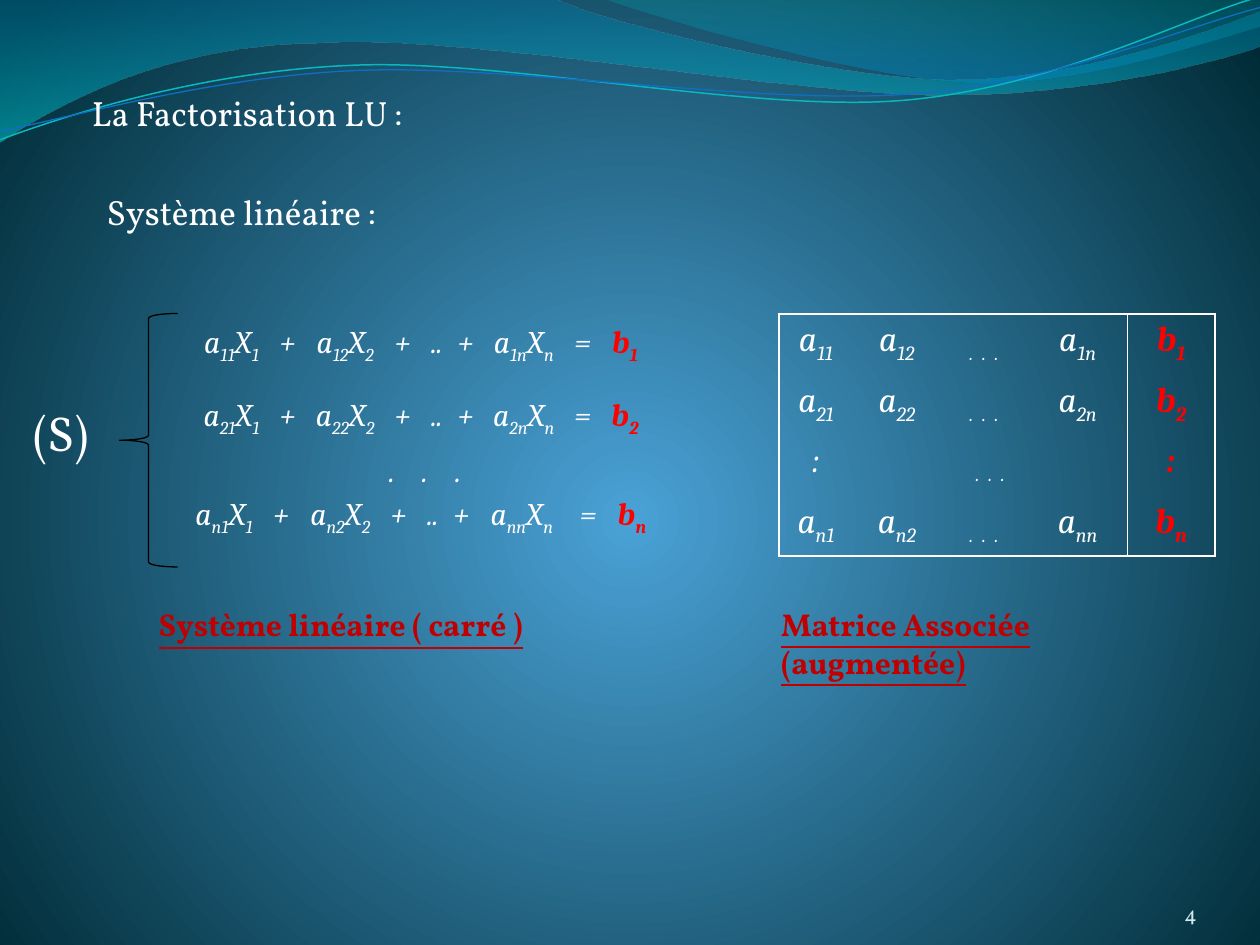
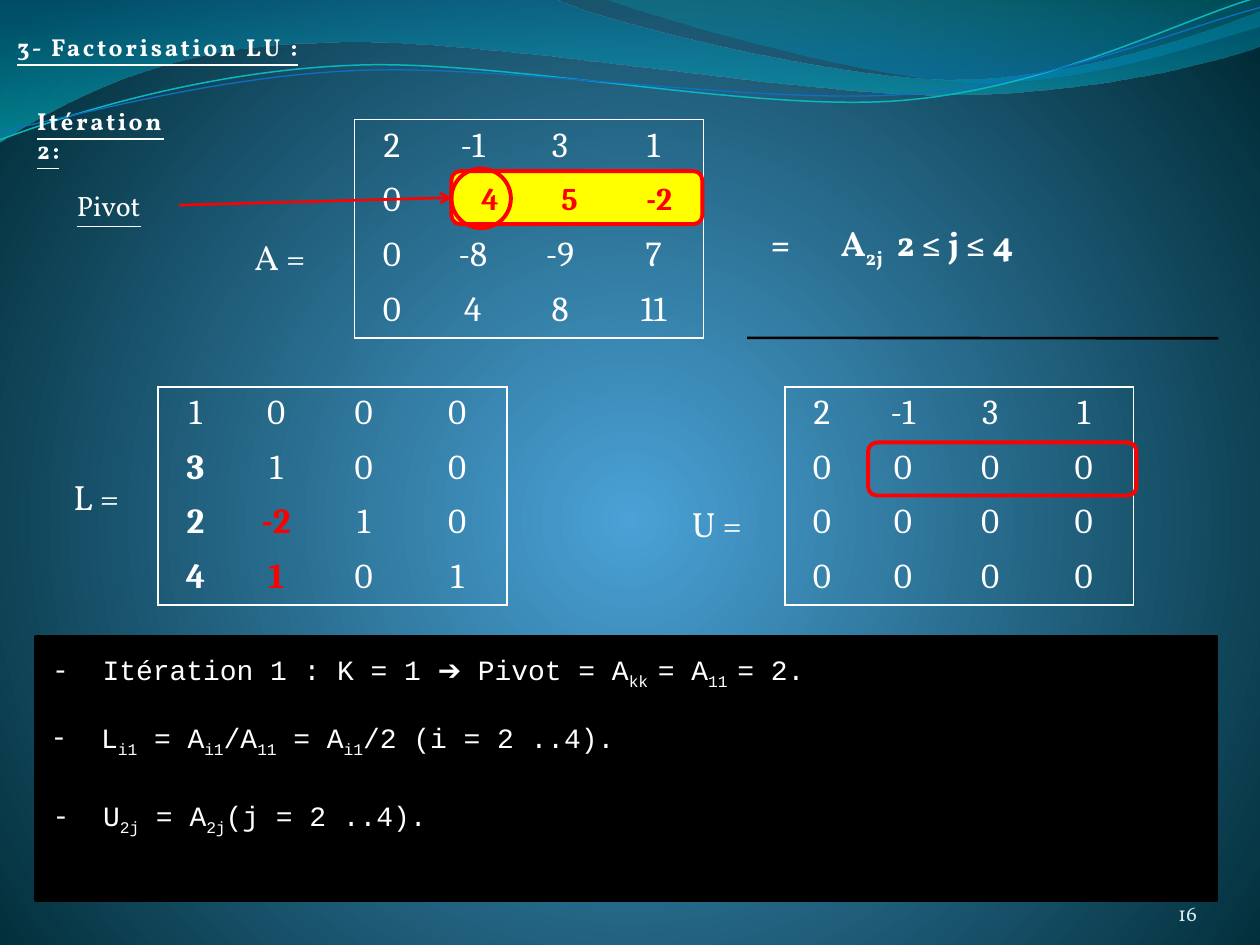
from lxml import etree
from pptx import Presentation
from pptx.dml.color import RGBColor
from pptx.enum.shapes import MSO_CONNECTOR, MSO_SHAPE
from pptx.enum.text import MSO_ANCHOR, MSO_AUTO_SIZE, PP_ALIGN
from pptx.oxml import parse_xml
from pptx.oxml.ns import nsdecls, qn
from pptx.util import Cm, Pt

LEFT, CENTER, RIGHT = PP_ALIGN.LEFT, PP_ALIGN.CENTER, PP_ALIGN.RIGHT
TOP, MIDDLE, BOTTOM = MSO_ANCHOR.TOP, MSO_ANCHOR.MIDDLE, MSO_ANCHOR.BOTTOM
RECT, ROUND_RECT = MSO_SHAPE.RECTANGLE, MSO_SHAPE.ROUNDED_RECTANGLE
OVAL, BRACE = MSO_SHAPE.OVAL, MSO_SHAPE.LEFT_BRACE
STRAIGHT = MSO_CONNECTOR.STRAIGHT

WHITE = RGBColor(0xFF, 0xFF, 0xFF)
BLACK = RGBColor(0x00, 0x00, 0x00)
RED = RGBColor(0xFF, 0x00, 0x00)
DARK_RED = RGBColor(0xC0, 0x00, 0x00)
YELLOW = RGBColor(0xFF, 0xFF, 0x00)
PALE = RGBColor(0xD1, 0xEA, 0xED)
TEAL = RGBColor(0x09, 0xB7, 0xBF)
BLUE = RGBColor(0x0F, 0x6F, 0xC6)

SERIF, MATH, MONO = "Vollkorn", "Cambria", "Courier New"
NO_TABLE_STYLE = "{2D5ABB26-0587-4C30-8999-92F81FD0307C}"


def write(tf, text, size=20, font=SERIF, color=WHITE, bold=False, italic=False,
          underline=False, spacing=0, align=LEFT, anchor=TOP, tabs=(), bullet=""):
    """Fill a text frame; |x| is a subscript and *x* is bold red."""
    tf.word_wrap = True
    tf.auto_size = MSO_AUTO_SIZE.NONE
    tf.vertical_anchor = anchor
    p = tf.paragraphs[0]
    p.alignment = align
    pPr = p._p.get_or_add_pPr()
    if bullet:
        pPr.set("marL", str(Cm(1.02)))
        pPr.set("indent", str(-Cm(1.02)))
        etree.SubElement(pPr, qn("a:buFont")).set("typeface", font)
        etree.SubElement(pPr, qn("a:buChar")).set("char", bullet)
    if tabs:
        tab_list = etree.SubElement(pPr, qn("a:tabLst"))
        for pos in tabs:
            tab = etree.SubElement(tab_list, qn("a:tab"))
            tab.set("pos", str(Cm(pos)))
            tab.set("algn", "ctr")
    for n, part in enumerate(text.split("*")):
        for m, piece in enumerate(part.split("|")):
            if not piece:
                continue
            r = p.add_run()
            r.text = piece
            r.font.name, r.font.size = font, Pt(size)
            r.font.bold = bold or n % 2 == 1
            r.font.italic, r.font.underline = italic, underline
            r.font.color.rgb = RED if n % 2 else color
            rPr = r._r.get_or_add_rPr()
            if m % 2:
                rPr.set("baseline", "-25000")
            if spacing:
                rPr.set("spc", str(int(spacing * 100)))
    return p


def set_gradient(props, stops, shade):
    """Replace the empty fill of a properties element by a gradient."""
    gs = "".join(
        f'<a:gs pos="{pos * 1000}"><a:srgbClr val="{rgb}">'
        f'<a:alpha val="{alpha * 1000}"/></a:srgbClr></a:gs>'
        for pos, rgb, alpha in stops)
    grad = parse_xml(f'<a:gradFill {nsdecls("a")} rotWithShape="1">'
                     f'<a:gsLst>{gs}</a:gsLst>{shade}</a:gradFill>')
    props.replace(props.find(qn("a:noFill")), grad)


prs = Presentation()
prs.slide_width, prs.slide_height = Cm(25.4), Cm(19.05)
master = prs.slide_master
title_only = prs.slide_layouts[5]
system = prs.slides.add_slide(title_only)
iteration = prs.slides.add_slide(title_only)

# Shared background and waves, on the master
master.background.fill.background()
set_gradient(master._element.find(".//" + qn("p:bgPr")),
             [(0, "4AA2D6", 100), (100, "002B36", 100)],
             '<a:path path="circle"><a:fillToRect l="50000" t="55000" '
             'r="50000" b="45000"/></a:path>')

# Points are in tenths of the slide width; three points in a step make a Bézier curve
UNIT = prs.slide_width / 10
waves = [
    ((0, 0), [[(4.4, -0.01)], [(4.76, 0.17), (6.64, 0.63), (7.58, 0.63)],
              [(8.53, 0.63), (9.58, 0.26), (10, 0.09)], [(10.01, 0.36)],
              [(9.83, 0.44), (8.7, 0.76), (7.46, 0.75)],
              [(6.22, 0.75), (3.82, 0.28), (2.57, 0.34)],
              [(1.29, 0.35), (0.46, 0.83), (-0.01, 1.13)]],
     [(0, "0074A0", 45), (100, "00C4CD", 55)], 90, None, 0),
    ((4.79, -0.01), [[(5.09, 0.11), (6.82, 0.62), (7.69, 0.65)],
                     [(8.56, 0.69), (9.61, 0.32), (10, 0.21)], [(10, 0)]],
     [(20, "008ABF", 45), (100, "00A0A8", 30)], 270, None, 0),
    ((0, 1.11), [[(0.48, 0.93), (1.58, 0.57), (2.77, 0.52)],
                 [(3.95, 0.46), (5.93, 0.89), (7.13, 0.8)],
                 [(8.33, 0.71), (9.38, 0.15), (9.98, -0.02)]], None, 0, TEAL, 0.85),
    ((0, 1.04), [[(0.47, 0.96), (1.64, 0.61), (2.83, 0.56)],
                 [(4.03, 0.51), (5.97, 0.83), (7.17, 0.75)],
                 [(8.36, 0.67), (9.41, 0.21), (10, 0.06)]], None, 0, BLUE, 0.75),
]
for (x0, y0), steps, stops, angle, line, width in waves:
    builder = system.shapes.build_freeform(x0 * UNIT, y0 * UNIT)
    for step in steps:
        builder.add_line_segments([(x * UNIT, y * UNIT) for x, y in step], close=False)
    if stops:
        builder.add_line_segments([], close=True)
    sp = builder.convert_to_shape()
    segments = iter(list(sp._element.iter(qn("a:lnTo"))))
    for step in steps:
        group = [next(segments) for _ in step]
        if len(group) == 3:
            curve = etree.Element(qn("a:cubicBezTo"))
            group[0].addprevious(curve)
            for segment in group:
                curve.append(segment[0])
                segment.getparent().remove(segment)
    sp.shadow.inherit = False
    sp.fill.background()
    if stops:
        sp.line.fill.background()
        set_gradient(sp._element.spPr, stops,
                     f'<a:lin ang="{angle * 60000}" scaled="0"/>')
    else:
        sp.line.color.rgb, sp.line.width = line, Pt(width)
    master.shapes._spTree.append(sp._element)

# Titles and slide numbers
heading = dict(size=14, bold=True, underline=True, spacing=1.5)
for s, box, title, fmt, number in [
        (system, (1.6, 1.71, 15.11, 1.12), "La Factorisation LU :", {}, "4"),
        (iteration, (0.09, 0.52, 9.35, 0.84), "3- Factorisation LU :", heading, "16")]:
    sp = s.shapes.title
    sp.left, sp.top, sp.width, sp.height = map(Cm, box)
    write(sp.text_frame, title, **fmt)
    tf = s.shapes.add_textbox(Cm(22.02), Cm(17.65), Cm(2.11), Cm(1.02)).text_frame
    tf.margin_left = tf.margin_right = tf.margin_top = tf.margin_bottom = 0
    write(tf, number, size=12, color=PALE, align=RIGHT, anchor=BOTTOM)

# Matrices
augmented = [[f"a|{i}1|", f"a|{i}2|", "|.  .  .|", f"a|{i}n|", f"*b|{i}|"]
             for i in "12n"]
augmented.insert(2, [":", "|.  .  .|", "", "", "*:"])
matrix_a = ["2 -1 3 1", "0 4 5 -2", "0 -8 -9 7", "0 4 8 11"]
matrix_l = ["1 0 0 0", "3 1 0 0", "2 *-2* 1 0", "4 *1* 0 1"]
matrix_u = ["2 -1 3 1"] + ["0 0 0 0"] * 3
COL_WIDTHS = (1.5, 1.76, 1.76, 2.01, 1.76)
tables = []
for s, left, top, row_height, rows, italic in [
        (system, 15.7, 6.33, 1.22, augmented, True),
        (iteration, 7.15, 2.41, 1.1, [row.split() for row in matrix_a], False),
        (iteration, 3.19, 7.8, 1.1, [row.split() for row in matrix_l], False),
        (iteration, 15.82, 7.8, 1.1, [row.split() for row in matrix_u], False)]:
    widths = COL_WIDTHS[:len(rows[0])]
    frame = s.shapes.add_table(len(rows), len(widths), Cm(left), Cm(top),
                               Cm(sum(widths)), Cm(row_height * len(rows)))
    table = frame.table
    table.first_row = table.horz_banding = False
    table._tbl.tblPr.find(qn("a:tableStyleId")).text = NO_TABLE_STYLE
    for col, width in zip(table.columns, widths):
        col.width = Cm(width)
    for i, row in enumerate(rows):
        for j, text in enumerate(row):
            cell = table.cell(i, j)
            cell.fill.background()
            write(cell.text_frame, text, font=MATH, italic=italic, align=CENTER)
            sides = [("lnL", j in (0, 4)), ("lnR", j == len(row) - 1),
                     ("lnT", i == 0), ("lnB", i == len(rows) - 1)]
            borders = [side for side, shown in sides if shown]
            for n, side in enumerate(borders):
                cell._tc.get_or_add_tcPr().insert(n, parse_xml(
                    f'<a:{side} {nsdecls("a")} w="{Pt(0.96)}"><a:solidFill>'
                    f'<a:srgbClr val="{WHITE}"/></a:solidFill></a:{side}>'))
    tables.append(table)
tables[0].cell(2, 1).merge(tables[0].cell(2, 3))
for i in range(1, 4):
    tables[2].cell(i, 0).text_frame.paragraphs[0].runs[0].font.bold = True

# Preset shapes: fill, line colour, line width
shapes = []
for s, kind, box, fill, line, width in [
        (system, BRACE, (2.41, 6.32, 1.17, 5.11), None, BLACK, 0.75),
        (iteration, RECT, (0.72, 12.83, 23.8, 5.31), BLACK, BLACK, 2),
        (iteration, RECT, (0.8, 12.91, 23.5, 1.27), BLACK, None, 0),
        (iteration, RECT, (0.77, 14.27, 17.68, 1.27), BLACK, None, 0),
        (iteration, RECT, (0.81, 15.85, 17.68, 1.27), BLACK, None, 0),
        (iteration, ROUND_RECT, (9.1, 3.45, 5.06, 1.07), YELLOW, RED, 2.25),
        (iteration, OVAL, (9.1, 3.4, 1.2, 1.2), None, RED, 2.25),
        (iteration, ROUND_RECT, (17.5, 8.92, 5.41, 1.07), None, RED, 2.25)]:
    sp = s.shapes.add_shape(kind, *map(Cm, box))
    sp.shadow.inherit = False
    if fill is None:
        sp.fill.background()
    else:
        sp.fill.solid()
        sp.fill.fore_color.rgb = fill
    if line is None:
        sp.line.fill.background()
    else:
        sp.line.color.rgb, sp.line.width = line, Pt(width)
    shapes.append(sp)

steps = ["Itération 1 : K = 1 ||➔|| Pivot = A|kk |= A|11 |= 2.",
         "L|i1| = A|i1|/A|11| = A|i1|/2 (i = 2 ..4).",
         "U|2j| = A|2j|(j = 2 ..4)."]
step_lines = [write(sp.text_frame, text, size=16, font=MONO, anchor=MIDDLE, bullet="-")
              for sp, text in zip(shapes[2:5], steps)]
step_lines[0].runs[1].font.name = "Arial"

pivot_row = shapes[5]
tf = pivot_row.text_frame
tf.margin_left = tf.margin_right = Cm(0.1)
tf.margin_top = tf.margin_bottom = 0
write(tf, "\t4\t5\t-2", size=18, font=MATH, color=RED, bold=True, anchor=MIDDLE,
      tabs=(0.63, 2.23, 4.04))

# Text boxes
caption = dict(size=18, color=DARK_RED, bold=True, underline=True)
equation = dict(size=18, font=MATH, italic=True, anchor=MIDDLE)
EQUATION_TABS = (1.14, 2.27, 3.43, 4.59, 5.28, 5.86, 7.03, 8.22, 9.07)
LAST_EQUATION_TABS = (0.99, 2.14, 3.33, 4.51, 5.2, 5.77, 6.99, 8.33, 9.21)
texts = [
    (system, (1.9, 3.71, 8.36, 1.09), "Système linéaire :", {}),
    (system, (0.42, 7.98, 2.01, 1.45), "(S)", dict(size=28)),
    (system, (2.95, 12.08, 8.79, 1.02), "Système linéaire ( carré )", caption),
    (system, (15.5, 12.07, 9.19, 1.78), "Matrice Associée (augmentée)", caption),
    (system, (3.38, 8.97, 10.39, 0.99), "\t.\t.\t.",
     dict(equation, tabs=(4.27, 4.94, 5.61))),
    (iteration, (0.5, 2.01, 3.61, 0.84), "Itération 2:", heading),
    (iteration, (4.88, 4.62, 1.78, 1.09), "A =", {}),
    (iteration, (1.23, 9.46, 1.78, 1.09), "L =", {}),
    (iteration, (13.7, 10.01, 1.78, 1.09), "U =", {}),
    (iteration, (15.29, 4.34, 0.94, 1.09), "=", dict(bold=True)),
    (iteration, (16.7, 4.34, 6.2, 1.12), "A|2j|  2 ≤ j ≤ 4", dict(bold=True)),
    (iteration, (1.3, 3.68, 2.31, 0.91), "Pivot", dict(size=16, underline=True)),
]
for i, top, tabs in [("1", 6.43, EQUATION_TABS), ("2", 7.9, EQUATION_TABS),
                     ("n", 9.89, LAST_EQUATION_TABS)]:
    text = f"\ta|{i}1|X|1|\t+\ta|{i}2|X|2|\t+\t..\t+\ta|{i}n|X|n|\t=\t*b|{i}|"
    texts.append((system, (3.28, top, 10.39, 0.99), text, dict(equation, tabs=tabs)))
for s, box, text, fmt in texts:
    sp = s.shapes.add_textbox(*map(Cm, box))
    write(sp.text_frame, text, **fmt)
    if text == "Pivot":
        pivot_label = sp

# Arrow from the label to the pivot row, and the rule under the formula
arrow = iteration.shapes.add_connector(STRAIGHT, Cm(3.61), Cm(4.13), Cm(9.1), Cm(3.98))
arrow.begin_connect(pivot_label, 3)
arrow.end_connect(pivot_row, 1)
rule = iteration.shapes.add_connector(STRAIGHT, Cm(15.06), Cm(6.81), Cm(24.56), Cm(6.82))
for line, color in ((arrow, RED), (rule, BLACK)):
    line.line.color.rgb, line.line.width = color, Pt(1.5)
    etree.SubElement(line._element.spPr, qn("a:effectLst"))
etree.SubElement(arrow.line._get_or_add_ln(), qn("a:tailEnd")).set("type", "arrow")

prs.save("out.pptx")
